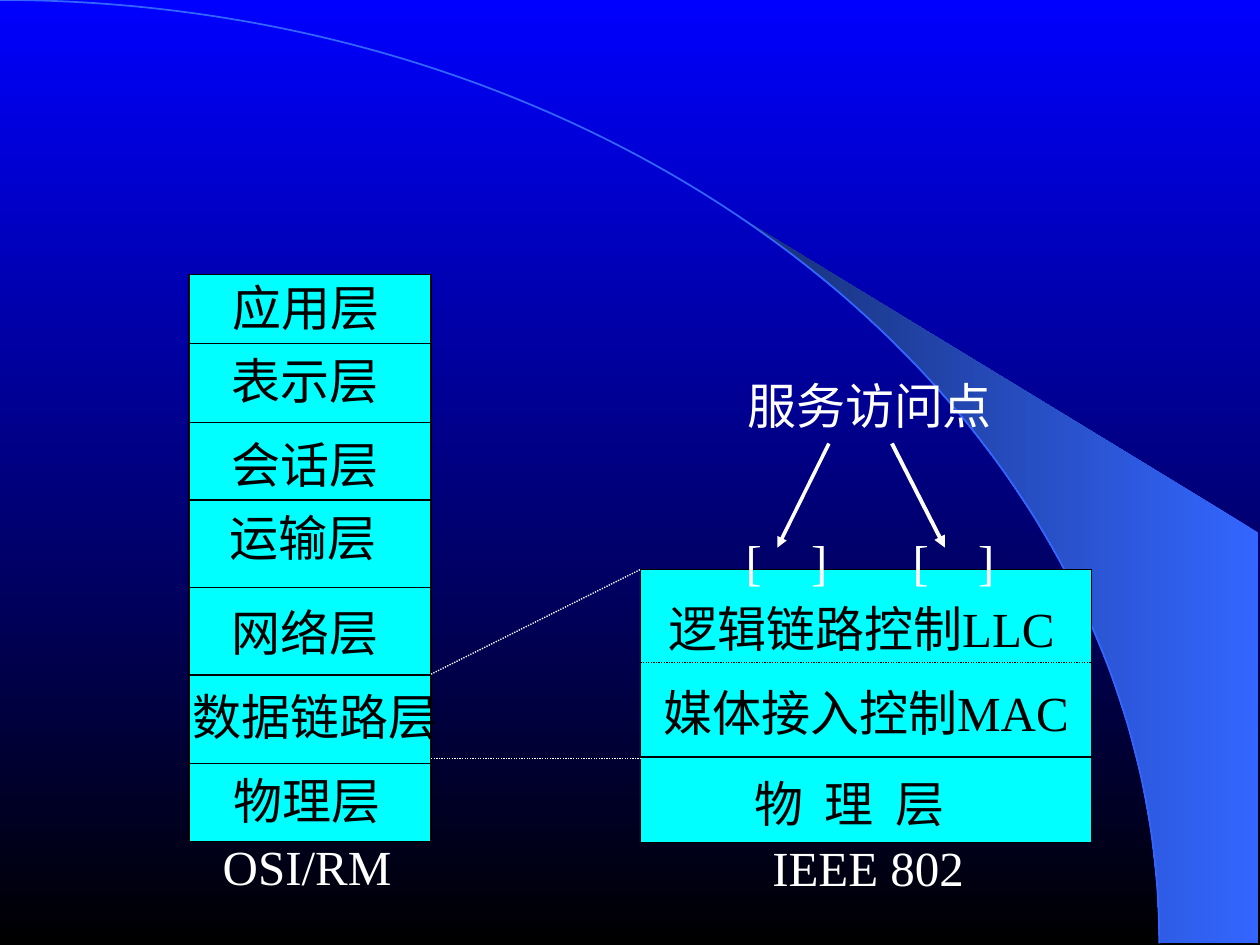
import math
from collections import namedtuple

import pptx
import pptx.dml.color
import pptx.enum.dml
import pptx.enum.shapes
import pptx.enum.text
import pptx.oxml
import pptx.oxml.ns
import pptx.util

Cm = pptx.util.Cm
Pt = pptx.util.Pt
COLOURS = {
    "sky": "0000FF", "night": "000000", "beam": "3366FF", "beam_dark": "172F75",
    "layer": "00FFFF", "black": "000000", "white": "FFFFFF",
}
FONT = "Times New Roman"
TEXT_SIZE = 28
TEXT_HEIGHT = 1.45

Box = namedtuple("Box", "left top width height")
# Label centres are measured from the top centre of the stack.
Layer = namedtuple("Layer", "name height label_x label_y label_width tabs dash",
                   defaults=((), None))
Caption = namedtuple("Caption", "text shift width")
DOTTED = pptx.enum.dml.MSO_LINE.ROUND_DOT

OSI_LAYERS = [
    Layer("应用层", 1.39, -0.08, 0.66, 3.6),
    Layer("表示层", 1.58, -0.1, 2.12, 3.6),
    Layer("会话层", 1.57, -0.1, 3.82, 3.6),
    Layer("运输层", 1.76, -0.15, 5.29, 3.6),
    Layer("网络层", 1.77, -0.1, 7.2, 3.6),
    Layer("数据链路层", 1.78, 0.1, 8.9, 5.5),
    Layer("物理层", 1.58, -0.06, 10.6, 3.6),
]
IEEE_LAYERS = [
    Layer("逻辑链路控制LLC", 1.88, -0.09, 1.18, 8.8),
    Layer("媒体接入控制MAC", 1.9, 0, 2.87, 9.1),
    Layer("物\t理\t层", 1.73, -0.25, 4.71, 4.5, tabs=(1.42, 2.84)),
]
IEEE_LAYERS[0] = IEEE_LAYERS[0]._replace(dash=DOTTED)


def rgb(name):
    return pptx.dml.color.RGBColor.from_string(COLOURS[name])


def set_gradient(fill, first, last, angle):
    fill.gradient()
    fill.gradient_angle = angle
    for stop, name in zip(fill.gradient_stops, (first, last)):
        stop.color.rgb = rgb(name)


def add_text(slide, text, box, colour, tabs=()):
    """Add one line, centred unless tab stops (from the text's left) are given."""
    shape = slide.shapes.add_textbox(*map(Cm, box))
    frame = shape.text_frame
    frame.word_wrap = False
    frame.auto_size = pptx.enum.text.MSO_AUTO_SIZE.SHAPE_TO_FIT_TEXT
    paragraph = frame.paragraphs[0]
    align = pptx.enum.text.PP_ALIGN
    paragraph.alignment = align.LEFT if tabs else align.CENTER
    if tabs:
        stops = "".join(f'<a:tab pos="{Cm(tab)}" algn="l"/>' for tab in tabs)
        namespace = pptx.oxml.ns.nsdecls("a")
        paragraph._p.get_or_add_pPr().append(
            pptx.oxml.parse_xml(f"<a:tabLst {namespace}>{stops}</a:tabLst>"))
    run = paragraph.add_run()
    run.text = text
    run.font.name = FONT
    run.font.size = Pt(TEXT_SIZE)
    run.font.color.rgb = rgb(colour)


def add_label(slide, text, centre_x, centre_y, width, colour, tabs=()):
    box = Box(centre_x - width / 2, centre_y - TEXT_HEIGHT / 2, width, TEXT_HEIGHT)
    add_text(slide, text, box, colour, tabs)


def add_line(slide, start, end, colour, weight=0.75, dash=None, arrow=False):
    line = slide.shapes.add_connector(
        pptx.enum.shapes.MSO_CONNECTOR.STRAIGHT, *map(Cm, (*start, *end)))
    line.line.color.rgb = rgb(colour)
    line.line.width = Pt(weight)
    if dash:
        line.line.dash_style = dash
    namespace = pptx.oxml.ns.nsdecls("a")
    if arrow:
        line.line._get_or_add_ln().append(
            pptx.oxml.parse_xml(f'<a:tailEnd {namespace} type="triangle"/>'))
    line._element.spPr.append(pptx.oxml.parse_xml(f"<a:effectLst {namespace}/>"))


def draw_backdrop(slide, box):
    """Draw the gradient, the beam and the quarter ellipse it touches."""
    set_gradient(slide.background.fill, "sky", "night", 270)
    radius_x, radius_y = 23.37, box.height - 0.03
    right = box.left + box.width - 0.03
    steps = 15
    start = math.asin(0.64)
    angles = [start + (math.pi / 2 - start) * i / steps for i in range(steps + 1)]
    points = [(box.left + radius_x * math.sin(angle),
               box.top + radius_y * (1 - math.cos(angle))) for angle in angles]
    points += [(right, box.top + radius_y), (right, box.top + 10.74)]
    points = [(Cm(x), Cm(y)) for x, y in points]

    builder = slide.shapes.build_freeform(*points[0])
    builder.add_line_segments(points[1:], close=True)
    beam = builder.convert_to_shape()
    beam.shadow.inherit = False
    set_gradient(beam.fill, "beam", "beam_dark", 180)
    beam.line.fill.background()

    curve = slide.shapes.add_shape(
        pptx.enum.shapes.MSO_SHAPE.ARC, Cm(box.left - radius_x), Cm(box.top),
        Cm(2 * radius_x), Cm(2 * radius_y))
    curve.shadow.inherit = False
    curve.fill.background()
    curve.line.color.rgb = rgb("beam")
    curve.line.width = Pt(1)


def draw_stack(slide, box, layers, caption):
    frame = slide.shapes.add_shape(
        pptx.enum.shapes.MSO_SHAPE.RECTANGLE, *map(Cm, box))
    frame.shadow.inherit = False
    frame.fill.solid()
    frame.fill.fore_color.rgb = rgb("layer")
    frame.line.color.rgb = rgb("black")
    frame.line.width = Pt(0.75)

    centre = box.left + box.width / 2
    edge = box.top
    for layer in layers[:-1]:
        edge += layer.height
        add_line(slide, (box.left, edge), (box.left + box.width, edge),
                 "black", dash=layer.dash)
    for layer in layers:
        add_label(slide, layer.name, centre + layer.label_x, box.top + layer.label_y,
                  layer.label_width, "black", layer.tabs)
    add_label(slide, caption.text, centre + caption.shift,
              box.top + box.height + 0.5, caption.width, "white")


def draw_mapping(slide, osi, ieee):
    """Join the data link layer to the two layers it splits into."""
    osi_right = osi.left + osi.width
    for osi_y, ieee_y in ((8.05, 0), (9.75, 3.81)):
        add_line(slide, (osi_right, osi.top + osi_y), (ieee.left, ieee.top + ieee_y),
                 "white", dash=DOTTED)


def draw_access_points(slide, box):
    add_text(slide, "[\t]\t[\t]",
             Box(box.left - 0.02, box.top + 3.15, box.width, TEXT_HEIGHT),
             "white", tabs=(1.32, 3.37, 4.69))
    add_text(slide, "服务访问点", Box(box.left, box.top, 5.46, TEXT_HEIGHT), "white")
    for start, end, weight in ((1.91, 0.87, 2), (3.18, 4.25, 2.25)):
        add_line(slide, (box.left + start, box.top + 1.5),
                 (box.left + end, box.top + 3.6), "white", weight, arrow=True)


def main():
    presentation = pptx.Presentation()
    presentation.slide_width, presentation.slide_height = Cm(25.4), Cm(19.05)
    slide = presentation.slides.add_slide(presentation.slide_layouts[6])

    osi = Box(3.81, 5.54, 4.88, 11.43)
    ieee = Box(12.91, 11.48, 9.1, 5.5)
    draw_backdrop(slide, Box(0, 0, 25.4, 19.05))
    draw_stack(slide, osi, OSI_LAYERS, Caption("OSI/RM", -0.06, 4))
    draw_stack(slide, ieee, IEEE_LAYERS, Caption("IEEE 802", 0.04, 4.5))
    draw_mapping(slide, osi, ieee)
    draw_access_points(slide, Box(14.8, 7.44, 5.8, 4.6))
    presentation.save("out.pptx")


if __name__ == "__main__":
    main()
